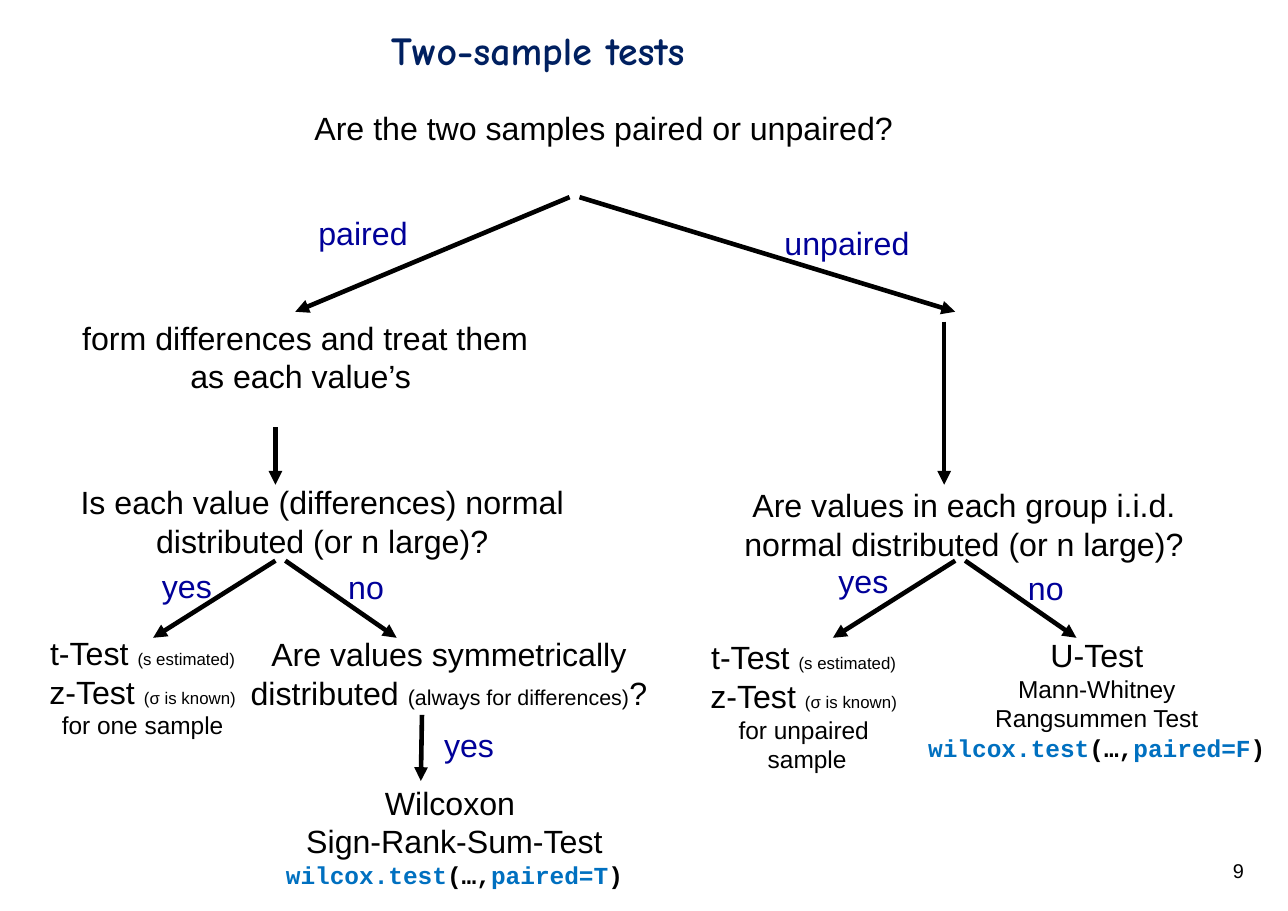
from dataclasses import dataclass
from typing import NamedTuple

from lxml.etree import SubElement
from pptx import Presentation
from pptx.dml.color import RGBColor
from pptx.enum.shapes import MSO_CONNECTOR
from pptx.enum.text import MSO_AUTO_SIZE, PP_ALIGN
from pptx.oxml.ns import qn
from pptx.slide import Slide
from pptx.util import Inches, Pt

COLORS = {
    "title": "002060",
    "text": "000000",
    "answer": "000099",
    "code": "0070C0",
}


class Part(NamedTuple):
    text: str
    size: float = 21
    color: str = "text"
    font: str = "Arial"
    bold: bool = False


@dataclass
class Statement:
    left: float
    top: float
    width: float
    height: float
    paragraphs: list[list[Part]]
    wrap: bool = True
    align: PP_ALIGN = PP_ALIGN.CENTER
    inset: tuple[float, float] = (0.11, 0.06)


class Arrow(NamedTuple):
    x1: float
    y1: float
    x2: float
    y2: float


def answer(left: float, top: float, width: float, word: str) -> Statement:
    return Statement(left, top, width, 0.47, [[Part(word, color="answer")]],
                     wrap=False, align=PP_ALIGN.LEFT)


def code_call(paired: str) -> list[Part]:
    pieces = [("wilcox.test", "code"), ("(…,", "text"),
              (f"paired={paired}", "code"), (")", "text")]
    return [Part(text, 16, color, "Courier New", True) for text, color in pieces]


def t_or_z_test(samples: str) -> list[list[Part]]:
    return [
        [Part("t-Test "), Part("(s estimated)", 11)],
        [Part("z-Test "), Part("(σ is known)\n", 11), Part(samples, 16)],
    ]


def fork(x: float) -> list[Arrow]:
    return [Arrow(x, 5.09, x - 1.11, 5.79),
            Arrow(x + 0.09, 5.09, x + 1.1, 5.79)]


STATEMENTS = [
    Statement(3.55, 0.23, 3.63, 0.87,
              [[Part("Two-sample tests", 26, "title", "Comic Neue", True)]],
              align=PP_ALIGN.LEFT, inset=(0, 0)),
    Statement(2.44, 0.92, 6.08, 0.47,
              [[Part("Are the two samples paired or unpaired?")]]),
    Statement(0.47, 2.83, 4.6, 0.82,
              [[Part("form differences and treat them as each value’s ")]]),
    Statement(0.51, 4.32, 4.83, 0.82,
              [[Part("Is each value (differences) normal distributed (or n large)?")]]),
    Statement(6.31, 4.35, 4.88, 0.82,
              [[Part("Are values in each group i.i.d. normal distributed (or n large)?")]]),
    Statement(0.33, 5.69, 1.93, 1.09, t_or_z_test("for one sample"), wrap=False),
    Statement(2.14, 5.7, 3.87, 0.82,
              [[Part("Are values symmetrically distributed "),
                Part("(always for differences)", 14), Part("?")]]),
    Statement(2.24, 7.05, 3.77, 1.09,
              [[Part("Wilcoxon \nSign-Rank-Sum-Test")], code_call("T")]),
    Statement(6.33, 5.73, 1.93, 1.36, t_or_z_test("for unpaired\n sample"), wrap=False),
    Statement(8.29, 5.71, 3.33, 1.28,
              [[Part("U-Test\n"), Part("Mann-Whitney\nRangsummen Test", 16)],
               code_call("F")], wrap=False),
    Statement(9.96, 7.79, 1.33, 0.21, [[Part("9", 13)]],
              align=PP_ALIGN.RIGHT, inset=(0, 0)),
    answer(2.78, 1.88, 1.04, "paired"),
    answer(7.01, 1.97, 1.37, "unpaired"),
    answer(1.36, 5.08, 0.69, "yes"),
    answer(3.05, 5.09, 0.55, "no"),
    answer(7.5, 5.04, 0.69, "yes"),
    answer(9.22, 5.1, 0.55, "no"),
    answer(3.92, 6.53, 0.69, "yes"),
]

ARROWS = [
    Arrow(5.17, 1.79, 2.68, 2.83),
    Arrow(5.26, 1.79, 8.67, 2.83),
    Arrow(2.5, 3.88, 2.5, 4.4),
    Arrow(8.57, 2.92, 8.57, 4.4),
    *fork(2.5),
    *fork(8.67),
    Arrow(3.83, 6.49, 3.82, 7.09),
]


def add_part(paragraph, part: Part) -> None:
    for index, line in enumerate(part.text.split("\n")):
        if index:
            paragraph.add_line_break()
            line_break = paragraph._p.findall(qn("a:br"))[-1]
            SubElement(line_break, qn("a:rPr")).set("sz", str(int(part.size * 100)))
        if line:
            run = paragraph.add_run()
            run.text = line
            run.font.size = Pt(part.size)
            run.font.name = part.font
            run.font.bold = part.bold
            run.font.color.rgb = RGBColor.from_string(COLORS[part.color])


def draw_statement(slide: Slide, statement: Statement) -> None:
    frame = slide.shapes.add_textbox(
        Inches(statement.left), Inches(statement.top),
        Inches(statement.width), Inches(statement.height)).text_frame
    frame.word_wrap = statement.wrap
    side, edge = statement.inset
    frame.margin_left = frame.margin_right = Inches(side)
    frame.margin_top = frame.margin_bottom = Inches(edge)
    frame.auto_size = MSO_AUTO_SIZE.SHAPE_TO_FIT_TEXT if side else MSO_AUTO_SIZE.NONE
    for index, parts in enumerate(statement.paragraphs):
        paragraph = frame.add_paragraph() if index else frame.paragraphs[0]
        paragraph.alignment = statement.align
        for part in parts:
            add_part(paragraph, part)


def draw_arrow(slide: Slide, arrow: Arrow) -> None:
    connector = slide.shapes.add_connector(
        MSO_CONNECTOR.STRAIGHT, *(Inches(value) for value in arrow))
    connector.line.color.rgb = RGBColor.from_string(COLORS["text"])
    connector.line.width = Pt(3)
    SubElement(connector.line._get_or_add_ln(), qn("a:tailEnd")).set("type", "triangle")
    SubElement(connector._element.spPr, qn("a:effectLst"))


def main() -> None:
    presentation = Presentation()
    presentation.slide_width = Inches(11.69)
    presentation.slide_height = Inches(8.27)
    slide = presentation.slides.add_slide(presentation.slide_layouts[6])
    for arrow in ARROWS:
        draw_arrow(slide, arrow)
    for statement in STATEMENTS:
        draw_statement(slide, statement)
    presentation.save("out.pptx")


if __name__ == "__main__":
    main()
